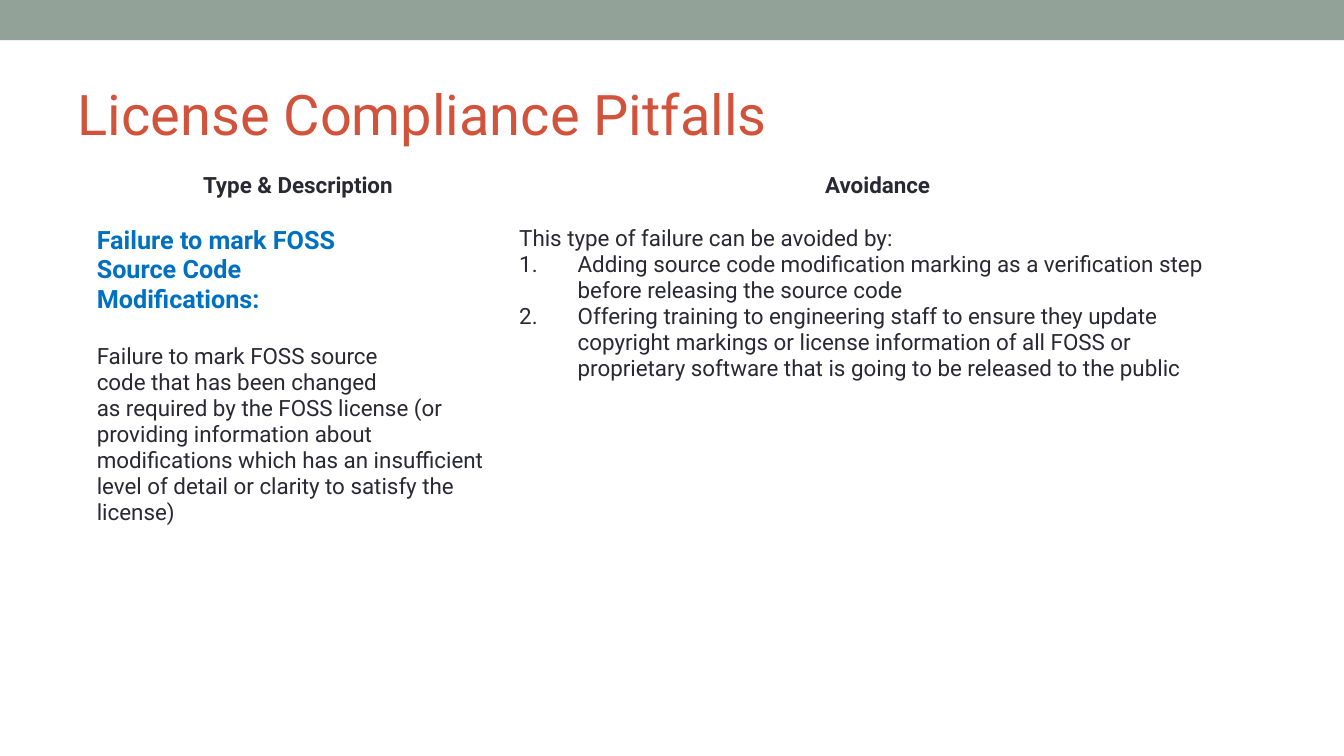
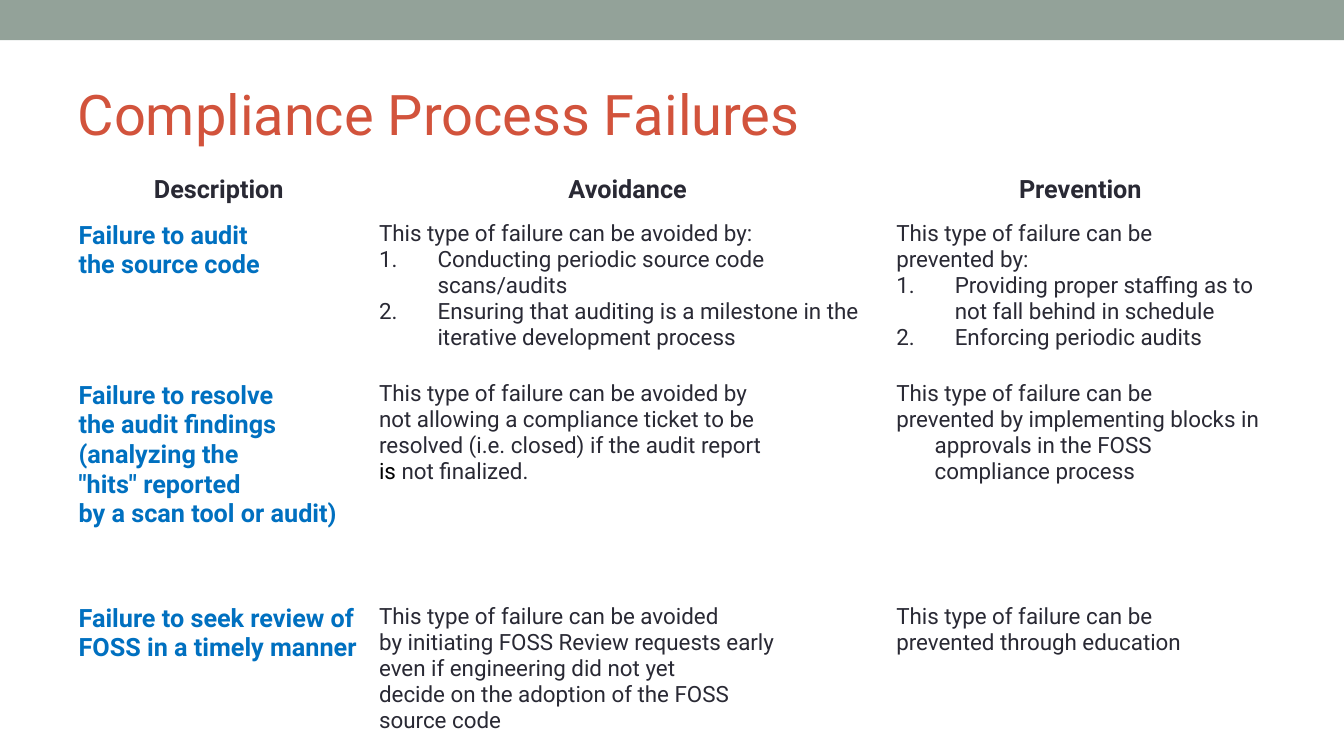
from dataclasses import dataclass

from lxml.etree import SubElement
from pptx import Presentation
from pptx.dml.color import RGBColor
from pptx.enum.shapes import MSO_SHAPE
from pptx.enum.text import MSO_ANCHOR, PP_ALIGN
from pptx.oxml.ns import qn
from pptx.util import Inches, Pt

COLORS = {
    "band": "93A299",
    "title": "D2533C",
    "text": "292934",
    "topic": "0070C0",
    "stress": "000000",
    "paper": "FFFFFF",
}
FONT = "Roboto"
WIDE, NARROW = 0.58, 0.38  # hanging indents in inches


@dataclass(frozen=True)
class Line:
    """One paragraph of a table cell."""
    text: str
    size: int = 16
    color: str = "text"
    bold: bool = False
    centered: bool = False
    hang: float = 0
    numbered: bool = False
    space_before: int = 0
    stressed_start: str = ""


@dataclass(frozen=True)
class Grid:
    """A titled page holding one table."""
    title: str
    left: float
    top: float
    widths: list[float]
    heights: list[float]
    rows: list[list[list[Line]]]


# Kinds of cell content
def header(text: str, size: int, hang: float = WIDE) -> list[Line]:
    return [Line(text, size, bold=True, centered=True, hang=hang)]


def topic(*texts: str) -> list[Line]:
    return [Line(text, 18, "topic", bold=True) for text in texts]


def prose(*texts: str, hang: float = NARROW) -> list[Line]:
    return [Line(text, hang=hang) for text in texts]


def steps(*texts: str) -> list[Line]:
    return [Line(text, hang=WIDE, numbered=True) for text in texts]


PITFALLS = Grid(
    "License Compliance Pitfalls", 0.86, 1.66, [4.19, 7.31], [0.53, 4.48],
    [
        [header("Type & Description", 16, NARROW), header("Avoidance", 16)],
        [
            topic("Failure to mark FOSS", "Source Code", "Modifications:")
            + [Line("Failure to mark FOSS source", space_before=21)]
            + prose(
                "code that has been changed",
                "as required by the FOSS license (or providing information about "
                "modifications which has an insufficient level of detail or clarity "
                "to satisfy the license)",
                hang=0,
            ),
            prose("This type of failure can be avoided by:", hang=WIDE)
            + steps(
                "Adding source code modification marking as a verification step "
                "before releasing the source code",
                "Offering training to engineering staff to ensure they update "
                "copyright markings or license information of all FOSS or "
                "proprietary software that is going to be released to the public",
            ),
        ],
    ],
)

FAILURES = Grid(
    "Compliance Process Failures", 0.68, 1.69,
    [2.98, 5.13, 3.85], [0.45, 1.59, 2.21, 1.59],
    [
        [header("Description", 18, NARROW), header("Avoidance", 18),
         header("Prevention", 18)],
        [
            topic("Failure to audit", "the source code"),
            prose("This type of failure can be avoided by:", hang=WIDE)
            + steps(
                "Conducting periodic source code scans/audits",
                "Ensuring that auditing is a milestone in the iterative "
                "development process",
            ),
            prose("This type of failure can be", "prevented by:", hang=WIDE)
            + steps(
                "Providing proper staffing as to not fall behind in schedule",
                "Enforcing periodic audits",
            ),
        ],
        [
            topic("Failure to resolve", "the audit findings", "(analyzing the",
                  '"hits" reported', "by a scan tool or audit)"),
            prose(
                "This type of failure can be avoided by",
                "not allowing a compliance ticket to be",
                "resolved (i.e. closed) if the audit report",
            )
            + [Line("not finalized.", hang=NARROW, stressed_start="is ")],
            prose(
                "This type of failure can be",
                "prevented by implementing blocks in approvals in the FOSS "
                "compliance process",
            ),
        ],
        [
            topic("Failure to seek review of FOSS in a timely manner"),
            prose(
                "This type of failure can be avoided",
                "by initiating FOSS Review requests early",
                "even if engineering did not yet",
                "decide on the adoption of the FOSS",
                "source code",
            ),
            prose("This type of failure can be", "prevented through education"),
        ],
    ],
)


def rgb(name: str) -> RGBColor:
    return RGBColor.from_string(COLORS[name])


def set_font(font, size: int, color: str, bold: bool = False) -> None:
    font.name = FONT
    font.size = Pt(size)
    font.bold = bold
    font.color.rgb = rgb(color)


def set_indent(para, line: Line) -> None:
    """Add the hanging indent and, for steps, the automatic number."""
    properties = para._p.get_or_add_pPr()
    properties.set("marL", str(Inches(line.hang)))
    properties.set("indent", str(-Inches(line.hang)))
    if line.numbered:
        bullet_color = SubElement(properties, qn("a:buClr"))
        SubElement(bullet_color, qn("a:srgbClr"), val=COLORS["text"])
        SubElement(properties, qn("a:buFont"), typeface="+mj-lt")
        SubElement(properties, qn("a:buAutoNum"), type="arabicPeriod")


def write_line(para, line: Line) -> None:
    if line.hang:
        set_indent(para, line)
    if line.centered:
        para.alignment = PP_ALIGN.CENTER
    if line.space_before:
        para.space_before = Pt(line.space_before)
    set_font(para.font, line.size, line.color, line.bold)
    if line.stressed_start:
        span = para.add_run()
        span.text = line.stressed_start
        span.font.color.rgb = rgb("stress")
    para.add_run().text = line.text


def fill_cell(cell, lines: list[Line]) -> None:
    cell.fill.solid()
    cell.fill.fore_color.rgb = rgb("paper")
    frame = cell.text_frame
    for index, line in enumerate(lines):
        para = frame.add_paragraph() if index else frame.paragraphs[0]
        write_line(para, line)


def add_band(deck, page) -> None:
    band = page.shapes.add_shape(
        MSO_SHAPE.RECTANGLE, 0, 0, deck.slide_width, Inches(0.4))
    band.shadow.inherit = False
    band.fill.solid()
    band.fill.fore_color.rgb = rgb("band")
    band.line.fill.background()


def add_title(page, text: str) -> None:
    title = page.shapes.title
    title.left, title.top = Inches(0.67), Inches(0.58)
    title.width, title.height = Inches(12), Inches(1.08)
    frame = title.text_frame
    frame.text = text
    frame.vertical_anchor = MSO_ANCHOR.MIDDLE
    para = frame.paragraphs[0]
    para.alignment = PP_ALIGN.LEFT
    set_font(para.font, 40, "title")


def add_grid(page, grid: Grid) -> None:
    table = page.shapes.add_table(
        len(grid.heights), len(grid.widths), Inches(grid.left), Inches(grid.top),
        Inches(sum(grid.widths)), Inches(sum(grid.heights))).table
    table.first_row = table.horz_banding = False
    for column, width in zip(table.columns, grid.widths):
        column.width = Inches(width)
    for row, height, contents in zip(table.rows, grid.heights, grid.rows):
        row.height = Inches(height)
        for cell, lines in zip(row.cells, contents):
            fill_cell(cell, lines)


def main() -> None:
    deck = Presentation()
    deck.slide_width, deck.slide_height = Inches(13.33), Inches(7.5)
    title_only = deck.slide_layouts[5]
    for grid in (PITFALLS, FAILURES):
        page = deck.slides.add_slide(title_only)
        add_band(deck, page)
        add_title(page, grid.title)
        add_grid(page, grid)
    deck.save("out.pptx")


if __name__ == "__main__":
    main()
